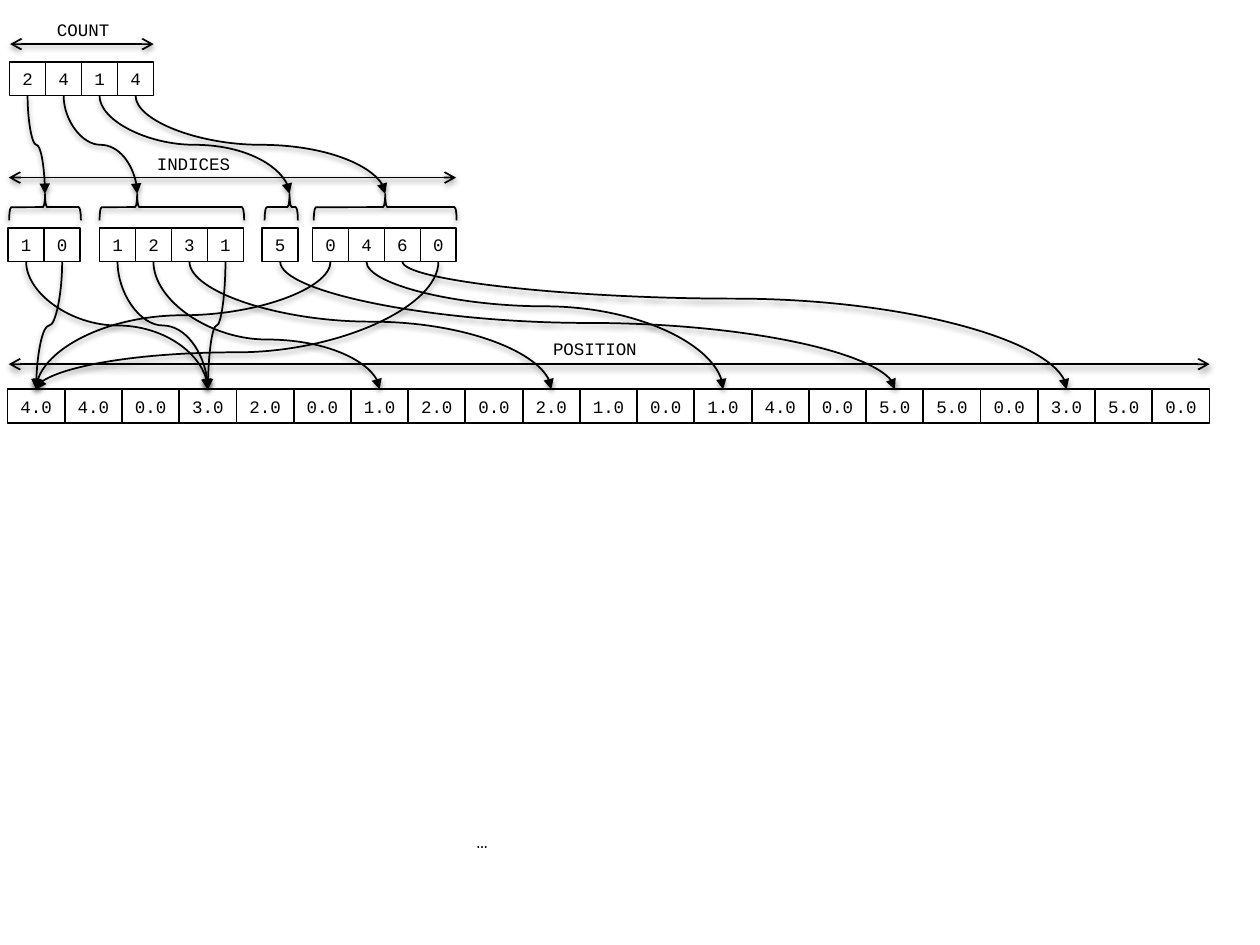
from pptx import Presentation
from pptx.util import Pt
from pptx.dml.color import RGBColor
from pptx.enum.shapes import MSO_CONNECTOR, MSO_SHAPE
from pptx.enum.text import MSO_AUTO_SIZE, PP_ALIGN
from pptx.oxml import parse_xml
from pptx.oxml.ns import nsdecls, qn
from lxml.etree import SubElement

COLORS = {"ink": "000000"}
FONT = "Courier New"
CELL_H, COUNT_W, POSITION_W = 19.4, 20.55, 32.71
COUNT_Y, INDEX_Y, POSITION_Y = 35.3, 130.1, 222.5
BRACE_Y, BRACE_H = 110.8, 15.1
COUNT_X, POSITION_X = 5.5, 4.3

counts = ["2", "4", "1", "4"]
groups = [
    {"x": 4.7, "values": "10", "bends": [0.5, 0.5], "brace": (5.2, 41, 0.5)},
    {"x": 56.9, "values": "1231", "bends": [0.5, 0.61, 0.47, 0.5], "brace": (56.9, 82.6, 0.74)},
    {"x": 149.8, "values": "5", "bends": [0.48], "brace": (151.2, 19, 0.25)},
    {"x": 178.6, "values": "0460", "bends": [0.42, 0.35, 0.29, 0.71], "brace": (179.3, 81.6, 0.5)},
]
positions = ["4.0", "4.0", "0.0", "3.0", "2.0", "0.0", "1.0", "2.0", "0.0", "2.0", "1.0",
             "0.0", "1.0", "4.0", "0.0", "5.0", "5.0", "0.0", "3.0", "5.0", "0.0"]
labels = [
    ("COUNT", 25.2, 7.2, 44.6, 10),
    ("INDICES", 82.1, 84.2, 56.9, 10),
    ("POSITION", 308.2, 189.4, 63.4, 10),
    ("…", 265, 470.9, 20.9, 10.5),
]
spans = [(5.8, 87.8, 25.2), (5, 260.6, 101.5), (5, 691.2, 208.1)]

prs = Presentation()
prs.slide_width, prs.slide_height = Pt(720), Pt(540)
s = prs.slides.add_slide(prs.slide_layouts[6])


def ink_line(sp):
    sp.line.color.rgb = RGBColor.from_string(COLORS["ink"])
    sp.line.width = Pt(1)


def add_shadow(sp):
    spPr = sp._element.spPr
    for old in spPr.findall(qn("a:effectLst")):
        spPr.remove(old)
    spPr.append(parse_xml(
        f'<a:effectLst {nsdecls("a")}><a:outerShdw blurRad="{Pt(3.1)}" dist="{Pt(1.6)}" '
        f'dir="5400000" rotWithShape="0"><a:srgbClr val="{COLORS["ink"]}">'
        '<a:alpha val="38000"/></a:srgbClr></a:outerShdw></a:effectLst>'))


def add_text(text, x, y, w, size=10, boxed=False):
    sp = s.shapes.add_textbox(Pt(x), Pt(y), Pt(w), Pt(CELL_H))
    if boxed:
        ink_line(sp)
    tf = sp.text_frame
    tf.word_wrap = False
    tf.auto_size = MSO_AUTO_SIZE.SHAPE_TO_FIT_TEXT
    p = tf.paragraphs[0]
    p.alignment = PP_ALIGN.CENTER
    r = p.add_run()
    r.text = text
    r.font.name, r.font.size = FONT, Pt(size)
    r.font.color.rgb = RGBColor.from_string(COLORS["ink"])


def add_row(values, x, y, w):
    for i, value in enumerate(values):
        add_text(value, x + i * w, y, w, boxed=True)


def add_line(kind, x1, y1, x2, y2, **ends):
    c = s.shapes.add_connector(kind, Pt(x1), Pt(y1), Pt(x2), Pt(y2))
    ink_line(c)
    ln = c.line._get_or_add_ln()
    for end, arrow in ends.items():
        SubElement(ln, qn(f"a:{end}"), type=arrow)
    add_shadow(c)
    return c


def add_curve(x1, y1, x2, y2, bend=0.5):
    cx, cy = (x1 + x2) / 2, (y1 + y2) / 2
    half_w, half_h = (y2 - y1) / 2, abs(x2 - x1) / 2
    c = add_line(MSO_CONNECTOR.CURVE, cx - half_w, cy - half_h,
                 cx + half_w, cy + half_h, tailEnd="triangle")
    xfrm = c._element.spPr.find(qn("a:xfrm"))
    if x2 > x1:
        xfrm.set("rot", "16200000")
        xfrm.set("flipH", "1")
    else:
        xfrm.set("rot", "5400000")
    geom = c._element.spPr.find(qn("a:prstGeom"))
    av = geom.find(qn("a:avLst"))
    if av is None:
        av = SubElement(geom, qn("a:avLst"))
    SubElement(av, qn("a:gd"), name="adj1", fmla=f"val {round(bend * 100000)}")


def add_brace(x, span, tip):
    cx, cy = x + span / 2, BRACE_Y + BRACE_H / 2
    sp = s.shapes.add_shape(MSO_SHAPE.LEFT_BRACE, Pt(cx - BRACE_H / 2),
                            Pt(cy - span / 2), Pt(BRACE_H), Pt(span))
    sp.rotation = 90
    sp.adjustments[0], sp.adjustments[1] = 0.08, tip
    sp.fill.background()
    ink_line(sp)
    add_shadow(sp)


add_row(counts, COUNT_X, COUNT_Y, COUNT_W)
add_row(positions, POSITION_X, POSITION_Y, POSITION_W)

for i, group in enumerate(groups):
    add_row(group["values"], group["x"], INDEX_Y, COUNT_W)
    x, span, tip = group["brace"]
    add_brace(x, span, tip)
    add_curve(COUNT_X + (i + 0.5) * COUNT_W, COUNT_Y + CELL_H, x + span * (1 - tip), BRACE_Y)
    for j, (value, bend) in enumerate(zip(group["values"], group["bends"])):
        add_curve(group["x"] + (j + 0.5) * COUNT_W, INDEX_Y + CELL_H,
                  POSITION_X + (3 * int(value) + 0.5) * POSITION_W, POSITION_Y, bend)

for x1, x2, y in spans:
    add_line(MSO_CONNECTOR.STRAIGHT, x1, y, x2, y, headEnd="arrow", tailEnd="arrow")
for text, x, y, w, size in labels:
    add_text(text, x, y, w, size)

prs.save("out.pptx")
